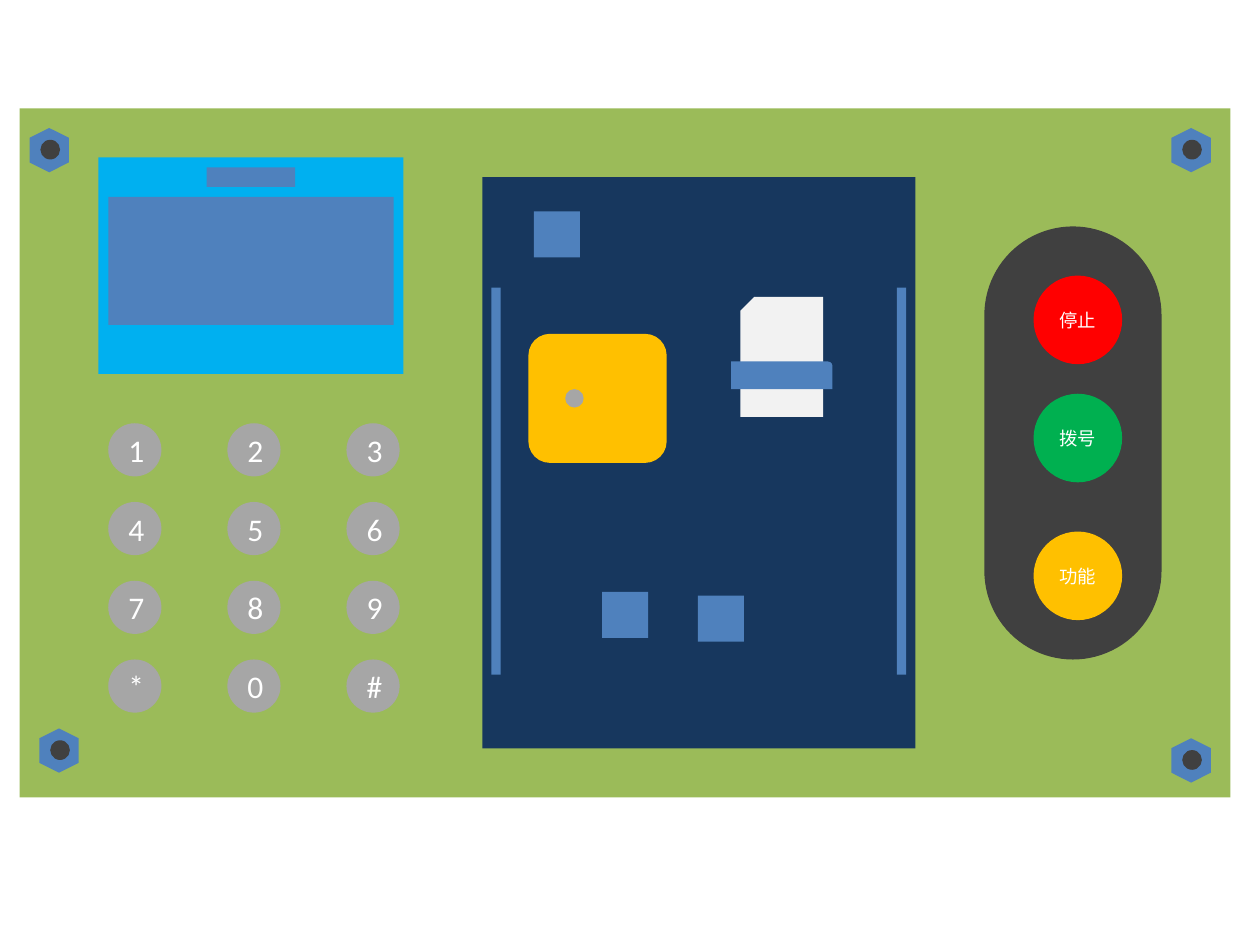
"""Draw the front panel of a phone: display, keypad, radio board and call buttons."""
from dataclasses import dataclass

from pptx import Presentation
from pptx.dml.color import RGBColor
from pptx.enum.shapes import MSO_SHAPE as S
from pptx.enum.text import PP_ALIGN
from pptx.util import Inches, Pt


@dataclass(frozen=True)
class Theme:
    font: str = "Calibri"
    key_size: float = 18
    button_size: float = 10.5
    white: str = "FFFFFF"
    paper: str = "F2F2F2"
    green: str = "9BBB59"
    dark: str = "404040"
    sky: str = "00B0F0"
    blue: str = "4F81BD"
    navy: str = "17375E"
    gray: str = "A6A6A6"
    amber: str = "FFC000"
    red: str = "FF0000"
    call: str = "00B050"


T = Theme()
WIDTH, HEIGHT = 10, 7.5
UNIT = WIDTH / 128
BOARD_LEFT, BOARD_TOP, BOARD_WIDTH = 49, 18, 44
BOARD_COLS, BOARD_ROWS = 47, 62
BOARD_UNIT = BOARD_WIDTH * UNIT / BOARD_COLS

CASE = [
    (S.RECTANGLE, 2, 11, 123, 70, T.green),
    (S.ROUNDED_RECTANGLE, 100, 23, 18, 44, T.dark),
    (S.RECTANGLE, 10, 16, 31, 22, T.sky),
]
DISPLAY = [
    (S.RECTANGLE, 11, 20, 29, 13, T.blue),
    (S.RECTANGLE, 21, 17, 9, 2, T.blue),
]
BOARD = [
    (S.RECTANGLE, 0, 0, BOARD_COLS, BOARD_ROWS, T.navy),
    (S.RECTANGLE, 5.6, 3.7, 5, 5, T.blue),
    (S.OVAL, 6.6, 4.7, 3, 3, T.blue),
    (S.ROUNDED_RECTANGLE, 5, 17, 15, 14, T.amber),
    (S.OVAL, 9, 23, 2, 2, T.gray),
    (S.SNIP_1_RECTANGLE, 28, 13, 9, 13, T.paper),
    (S.ROUND_1_RECTANGLE, 27, 20, 11, 3, T.blue),
    (S.RECTANGLE, 13, 45, 5, 5, T.blue),
    (S.OVAL, 14.5, 46.5, 2, 2, T.blue),
    (S.RECTANGLE, 23.4, 45.4, 5, 5, T.blue),
    (S.OVAL, 24.9, 46.9, 2, 2, T.blue),
    (S.RECTANGLE, 1, 12, 1, 42, T.blue),
    (S.RECTANGLE, 45, 12, 1, 42, T.blue),
]
KEYS = ["123", "456", "789", "*0#"]
KEY_LEFT, KEY_TOP, KEY, KEY_COL, KEY_ROW = 11, 43, 5.4, 12.1, 8
BUTTONS = [("停止", 28, T.red), ("拨号", 40, T.call), ("功能", 54, T.amber)]
BUTTON_LEFT, BUTTON = 105, 9
SCREWS = [(119, 13), (3, 13), (4, 74), (119, 75)]


def add_part(shapes, kind, x, y, w, h, color, unit=UNIT, origin=(0, 0)):
    s = shapes.add_shape(kind, Inches(origin[0] + x * unit), Inches(origin[1] + y * unit),
                         Inches(w * unit), Inches(h * unit))
    s.shadow.inherit = False
    s.fill.solid()
    s.fill.fore_color.rgb = RGBColor.from_string(color)
    s.line.fill.background()
    return s


def add_label(s, text, size):
    p = s.text_frame.paragraphs[0]
    p.text = text
    p.alignment = PP_ALIGN.CENTER
    p.font.name = T.font
    p.font.size = Pt(size)
    p.font.color.rgb = RGBColor.from_string(T.white)


def add_case(shapes):
    for part in CASE:
        s = add_part(shapes, *part)
        if part[0] == S.ROUNDED_RECTANGLE:
            s.adjustments[0] = 0.5


def add_keypad(shapes):
    for row, keys in enumerate(KEYS):
        for col, key in enumerate(keys):
            s = add_part(shapes, S.OVAL, KEY_LEFT + col * KEY_COL, KEY_TOP + row * KEY_ROW,
                         KEY, KEY, T.gray)
            add_label(s, key, T.key_size)


def add_board(shapes):
    group = shapes.add_group_shape()
    origin = BOARD_LEFT * UNIT, BOARD_TOP * UNIT
    for part in BOARD:
        s = add_part(group.shapes, *part, unit=BOARD_UNIT, origin=origin)
        if part[0] == S.SNIP_1_RECTANGLE:
            s._element.spPr.get_or_add_xfrm().set("flipH", "1")


def add_buttons(shapes):
    for text, top, color in BUTTONS:
        s = add_part(shapes, S.OVAL, BUTTON_LEFT, top, BUTTON, BUTTON, color)
        add_label(s, text, T.button_size)


def add_screws(shapes):
    for x, y in SCREWS:
        group = shapes.add_group_shape()
        nut = add_part(group.shapes, S.HEXAGON, x - 0.25, y + 0.25, 4.5, 4, T.blue)
        nut.rotation = 90
        add_part(group.shapes, S.OVAL, x + 1.1, y + 1.2, 2, 2, T.dark)


def main():
    prs = Presentation()
    prs.slide_width, prs.slide_height = Inches(WIDTH), Inches(HEIGHT)
    shapes = prs.slides.add_slide(prs.slide_layouts[6]).shapes
    add_case(shapes)
    add_keypad(shapes)
    add_board(shapes)
    for part in DISPLAY:
        add_part(shapes, *part)
    add_buttons(shapes)
    add_screws(shapes)
    prs.save("out.pptx")


if __name__ == "__main__":
    main()
